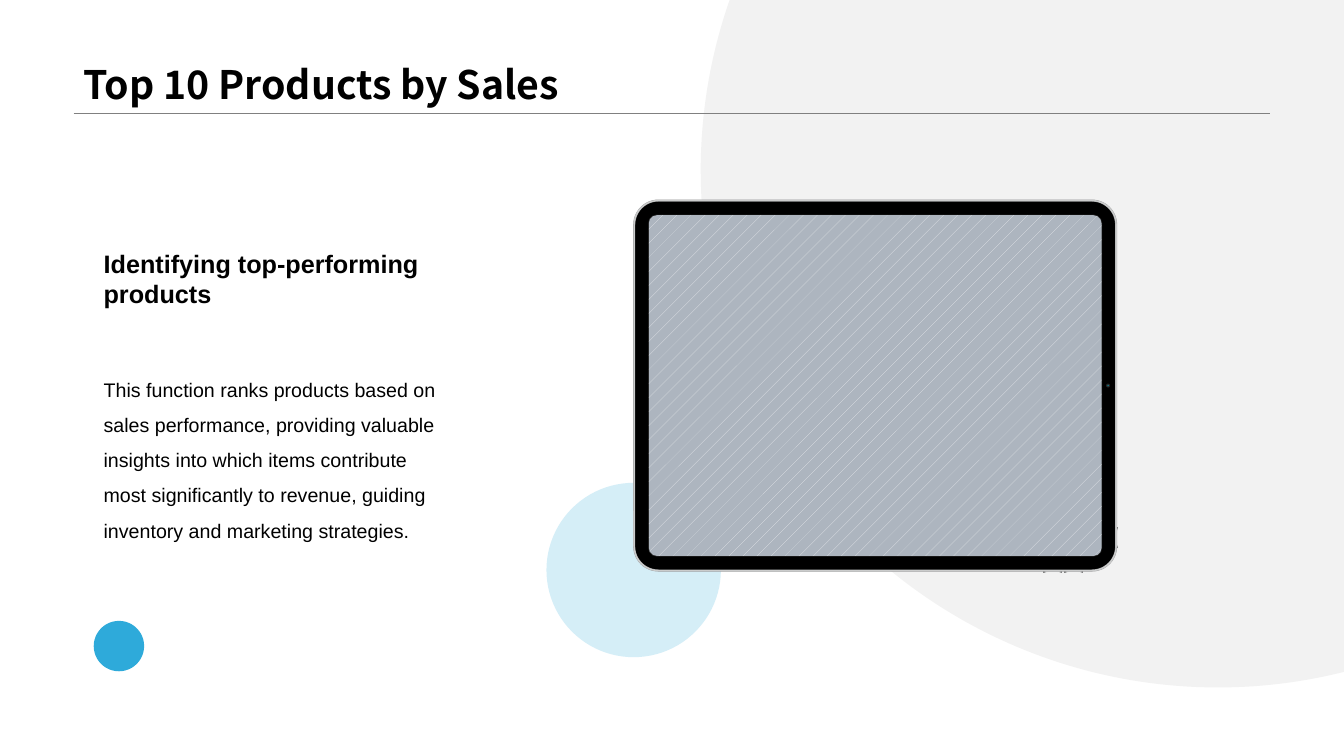
from math import acos, asin, cos, pi, sin

from lxml import etree
from pptx import Presentation
from pptx.dml.color import RGBColor
from pptx.enum.dml import MSO_PATTERN
from pptx.enum.shapes import MSO_CONNECTOR, MSO_SHAPE
from pptx.enum.text import MSO_ANCHOR, MSO_AUTO_SIZE, PP_ALIGN
from pptx.oxml.ns import qn
from pptx.util import Inches, Pt

OVAL = MSO_SHAPE.OVAL
ROUNDED = MSO_SHAPE.ROUNDED_RECTANGLE
STRAIGHT = MSO_CONNECTOR.STRAIGHT
DOTS = MSO_PATTERN.PERCENT_5
BOTTOM, MIDDLE, TOP = MSO_ANCHOR.BOTTOM, MSO_ANCHOR.MIDDLE, MSO_ANCHOR.TOP
GROW = MSO_AUTO_SIZE.SHAPE_TO_FIT_TEXT
LEFT = PP_ALIGN.LEFT

BLACK = RGBColor(0x00, 0x00, 0x00)
GREY = RGBColor(0x80, 0x80, 0x80)
BLUE = RGBColor(0x2E, 0xAA, 0xDA)
RIM_DARK = RGBColor(0x28, 0x29, 0x2A)
RIM_GREY = RGBColor(0x9F, 0xA0, 0xA1)
RIM_LIGHT = RGBColor(0xF8, 0xF8, 0xF8)
SCREEN_EDGE = RGBColor(0x26, 0x26, 0x26)
SCREEN_DOT = RGBColor(0xE4, 0xE6, 0xEA)
SCREEN_BACK = RGBColor(0xAD, 0xB5, 0xBF)
LENS_RING = RGBColor(0x46, 0x46, 0x46)
LENS_EDGE = RGBColor(0x33, 0x33, 0x33)
LENS_GLINT = RGBColor(0x03, 0xDB, 0xF8)

SLIDE_WIDTH, SLIDE_HEIGHT = 13.33, 7.5
BUTTON_STOPS = [
    (0, "3C3C3C", 100), (1, "404040", 100), (2, "3C3C3C", 100),
    (21, "F2F2F2", 0), (82, "F2F2F2", 4),
    (98, "3C3C3C", 100), (99, "404040", 100), (100, "404040", 100),
]


def set_opacity(shape, percent):
    for color in shape._element.xpath("./p:spPr//a:srgbClr"):
        etree.SubElement(color, qn("a:alpha"), val=str(percent * 1000))


def style_shape(shape, fill=None, line=None, width=0, opacity=100):
    shape.shadow.inherit = False
    if fill is None:
        shape.fill.background()
    else:
        shape.fill.solid()
        shape.fill.fore_color.rgb = fill
    if line is None:
        shape.line.fill.background()
    else:
        shape.line.color.rgb = line
        shape.line.width = Pt(width)
    if opacity < 100:
        set_opacity(shape, opacity)


def add_preset(slide, preset, box, radius=0, **style):
    shape = slide.shapes.add_shape(preset, *map(Inches, box))
    if radius:
        shape.adjustments[0] = radius / min(box[2:])
    style_shape(shape, **style)
    return shape


def add_button(slide, box, angle):
    button = add_preset(slide, ROUNDED, box, radius=0.005, fill=GREY)
    properties = button._element.spPr
    gradient = etree.Element(qn("a:gradFill"), rotWithShape="1")
    stops = etree.SubElement(gradient, qn("a:gsLst"))
    for position, color, opacity in BUTTON_STOPS:
        stop = etree.SubElement(stops, qn("a:gs"), pos=str(position * 1000))
        tint = etree.SubElement(stop, qn("a:srgbClr"), val=color)
        etree.SubElement(tint, qn("a:alpha"), val=str(opacity * 1000))
    etree.SubElement(gradient, qn("a:lin"), ang=str(angle * 60000), scaled="0")
    properties.replace(properties.find(qn("a:solidFill")), gradient)


def write_text(frame, text, font_name, size, bold, anchor, spacing):
    frame.word_wrap = True
    frame.vertical_anchor = anchor
    paragraph = frame.paragraphs[0]
    paragraph.alignment = LEFT
    paragraph.line_spacing = spacing
    run = paragraph.add_run()
    run.text = text
    run.font.name = font_name
    run.font.size = Pt(size)
    run.font.bold = bold
    run.font.color.rgb = BLACK


def add_title(slide, left, top, width, height):
    base = top + height
    rule = slide.shapes.add_connector(
        STRAIGHT, *map(Inches, (left, base, left + width, base)))
    rule.line.color.rgb = GREY
    rule.line.width = Pt(0.25)
    etree.SubElement(rule._element.spPr, qn("a:effectLst"))
    title = slide.shapes.title
    title.left, title.top, title.width, title.height = map(
        Inches, (left, top, width, height))
    write_text(title.text_frame, "Top 10 Products by Sales",
               "Noto Sans CJK SC", 28, True, BOTTOM, 0.9)


def add_cropped_disc(slide, center_x, center_y, radius):
    start = acos((SLIDE_WIDTH - center_x) / radius)
    end = pi + asin(center_y / radius)
    steps = 120
    angles = [start + (end - start) * step / steps for step in range(steps + 1)]
    arc = [(Inches(center_x + radius * cos(angle)),
            Inches(center_y + radius * sin(angle))) for angle in angles]
    builder = slide.shapes.build_freeform(Inches(SLIDE_WIDTH), 0)
    builder.add_line_segments(arc, close=True)
    style_shape(builder.convert_to_shape(), fill=GREY, opacity=10)


def add_tablet(slide, left, top, width, height):
    right, bottom = left + width, top + height
    add_button(slide, (right, top + 3.24, 0.01, 0.2), 90)
    for offset in (4.06, 4.27):
        add_button(slide, (left + offset, bottom + 0.01, 0.18, 0.01), 0)

    body = (left, top, width, height)
    add_preset(slide, ROUNDED, body, 0.24, fill=BLACK)
    for color, line_width, opacity in (
            (RIM_DARK, 0.96, 40), (RIM_GREY, 1.44, 100), (RIM_LIGHT, 0.96, 50)):
        add_preset(slide, ROUNDED, body, 0.24,
                   line=color, width=line_width, opacity=opacity)

    lens_x, lens_y = right - 0.08, top + height / 2
    for size, style in (
            (0.04, {"fill": LENS_RING, "opacity": 50}),
            (0.02, {"fill": BLACK, "line": LENS_EDGE, "width": 0.48}),
            (0.01, {"fill": LENS_GLINT})):
        lens_box = (lens_x - size / 2, lens_y - size / 2, size, size)
        add_preset(slide, OVAL, lens_box, **style)

    bezel = 0.145
    screen_box = (left + bezel, top + bezel,
                  width - 2 * bezel, height - 2 * bezel)
    add_preset(slide, ROUNDED, screen_box, 0.08, line=SCREEN_EDGE, width=0.96)
    screen = add_preset(slide, ROUNDED, screen_box, 0.08)
    screen.fill.patterned()
    screen.fill.pattern = DOTS
    screen.fill.fore_color.rgb = SCREEN_DOT
    screen.fill.back_color.rgb = SCREEN_BACK


def add_message(slide, left, top, width):
    for text, offset, height, size, bold, anchor, spacing in (
            ("This function ranks products based on sales performance, "
             "providing valuable insights into which items contribute most "
             "significantly to revenue, guiding inventory and marketing "
             "strategies.", 1.02, 2.53, 14, False, TOP, 1.5),
            ("Identifying top-performing products",
             0, 0.4, 18, True, MIDDLE, 1.0)):
        box = slide.shapes.add_textbox(
            *map(Inches, (left, top + offset, width, height)))
        write_text(box.text_frame, text, "Arial", size, bold, anchor, spacing)
        box.text_frame.auto_size = GROW


def main():
    presentation = Presentation()
    presentation.slide_width = Inches(SLIDE_WIDTH)
    presentation.slide_height = Inches(SLIDE_HEIGHT)
    slide = presentation.slides.add_slide(presentation.slide_layouts[5])
    add_title(slide, 0.73, 0, 11.87, 1.12)
    add_preset(slide, OVAL, (5.42, 4.79, 1.73, 1.73), fill=BLUE, opacity=20)
    add_cropped_disc(slide, 12.08, 1.69, 5.13)
    add_tablet(slide, 6.29, 1.99, 4.78, 3.67)
    add_preset(slide, OVAL, (0.93, 6.16, 0.5, 0.5), fill=BLUE)
    add_message(slide, 0.93, 2.56, 3.56)
    presentation.save("out.pptx")


if __name__ == "__main__":
    main()
